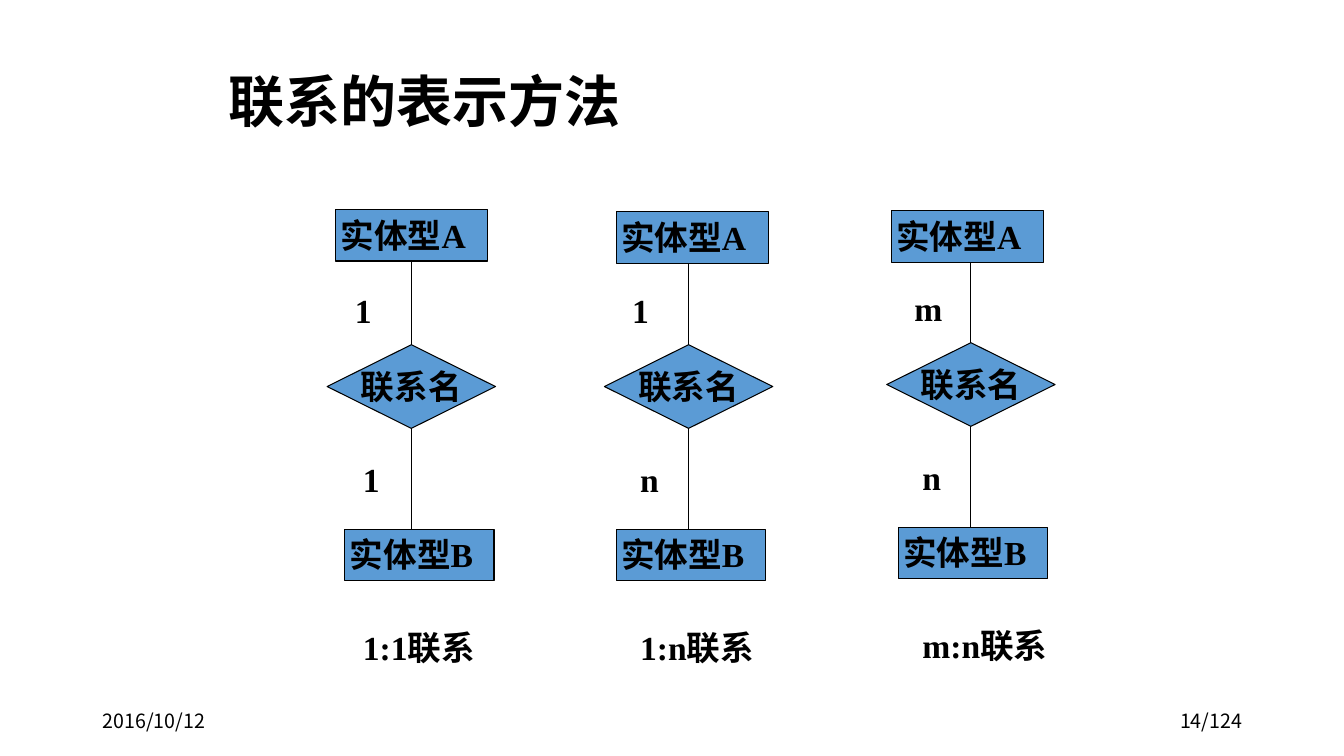
from lxml.etree import SubElement
from pptx import Presentation
from pptx.dml.color import RGBColor
from pptx.enum.shapes import MSO_CONNECTOR as Connector, MSO_SHAPE as Shape
from pptx.enum.text import MSO_ANCHOR as Anchor, MSO_AUTO_SIZE as AutoSize, PP_ALIGN as Align
from pptx.oxml.ns import qn
from pptx.util import Inches, Pt

BLUE = RGBColor(0x5B, 0x9B, 0xD5)
BLACK = RGBColor(0, 0, 0)
SANS = "Noto Sans CJK SC"
SERIF = "Times New Roman"

ENTITY_HEIGHT = 0.51
DIAMOND_WIDTH, DIAMOND_HEIGHT = 1.67, 0.83

# axis, top of diamond, A left, A top, B left, upper mark, lower mark
DIAGRAMS = [
    (4.08, 3.42, 3.33, 2.08, 3.42, "1", "1"),
    (6.83, 3.42, 6.11, 2.10, 6.11, "1", "n"),
    (9.63, 3.40, 8.84, 2.09, 8.91, "m", "n"),
]


def write(shape, text, size, font=SERIF, bold=True, align=Align.LEFT,
          anchor=Anchor.TOP, wrap=True, inset=0.1):
    frame = shape.text_frame
    frame.auto_size = AutoSize.NONE
    frame.word_wrap = wrap
    frame.vertical_anchor = anchor
    frame.margin_left = frame.margin_right = Inches(inset)
    para = frame.paragraphs[0]
    para.text = text
    para.alignment = align
    para.font.name = font
    para.font.size = Pt(size)
    para.font.bold = bold
    para.font.color.rgb = BLACK
    defaults = para._p.pPr.find(qn("a:defRPr"))
    SubElement(defaults, qn("a:ea")).set("typeface", SANS)
    return para


def add_label(shapes, area, text, size=24, **style):
    box = shapes.add_textbox(*map(Inches, area))
    write(box, text, size, **style)


def add_node(shapes, kind, area, text, **style):
    node = shapes.add_shape(kind, *map(Inches, area))
    node.shadow.inherit = False
    node.fill.solid()
    node.fill.fore_color.rgb = BLUE
    node.line.color.rgb = BLACK
    node.line.width = Pt(0.75)
    write(node, text, 24, **style)


def add_entity(shapes, left, top, width, text):
    add_node(shapes, Shape.RECTANGLE, (left, top, width, ENTITY_HEIGHT), text, inset=0.05)


def add_link(shapes, x, start, end):
    link = shapes.add_connector(Connector.STRAIGHT, Inches(x), Inches(start),
                                Inches(x), Inches(end))
    link.line.color.rgb = BLACK
    link.line.width = Pt(0.75)
    SubElement(link._element.spPr, qn("a:effectLst"))


def add_diagram(page, axis, top, a_left, a_top, b_left, upper, lower):
    shapes = page.shapes.add_group_shape().shapes
    bottom = top + DIAMOND_HEIGHT
    b_top = bottom + 1
    mark_left = axis - 0.58
    add_entity(shapes, a_left, a_top, 1.51, "实体型A")
    add_node(shapes, Shape.DIAMOND,
             (axis - DIAMOND_WIDTH / 2, top, DIAMOND_WIDTH, DIAMOND_HEIGHT),
             "联系名", align=Align.CENTER, anchor=Anchor.MIDDLE, wrap=False)
    add_entity(shapes, b_left, b_top, 1.48, "实体型B")
    add_link(shapes, axis, top, a_top + ENTITY_HEIGHT)
    add_link(shapes, axis, bottom, b_top)
    add_label(shapes, (mark_left - 0.08, top - 0.59, 0.42, 0.5), upper)
    add_label(shapes, (mark_left, bottom + 0.25, 0.42, 0.5), lower)
    add_label(shapes, (mark_left, bottom + 1.92, 1.7, 0.5), f"{upper}:{lower}联系")


def add_title(page, text):
    title = page.shapes.title
    title.left, title.top, title.width, title.height = map(Inches, (2.17, 0.69, 9, 0.93))
    write(title, text, 40, font=SANS).line_spacing = 0.9


def main():
    deck = Presentation()
    deck.slide_width, deck.slide_height = Inches(13.33), Inches(7.5)
    page = deck.slides.add_slide(deck.slide_layouts[5])
    add_title(page, "联系的表示方法")
    footer = {"size": 14, "font": SANS, "bold": False, "anchor": Anchor.MIDDLE}
    add_label(page.shapes, (0.92, 6.95, 3, 0.4), "2016/10/12", **footer)
    add_label(page.shapes, (9.42, 6.95, 3, 0.4), "14/124", align=Align.RIGHT, **footer)
    for diagram in DIAGRAMS:
        add_diagram(page, *diagram)
    deck.save("out.pptx")


main()
